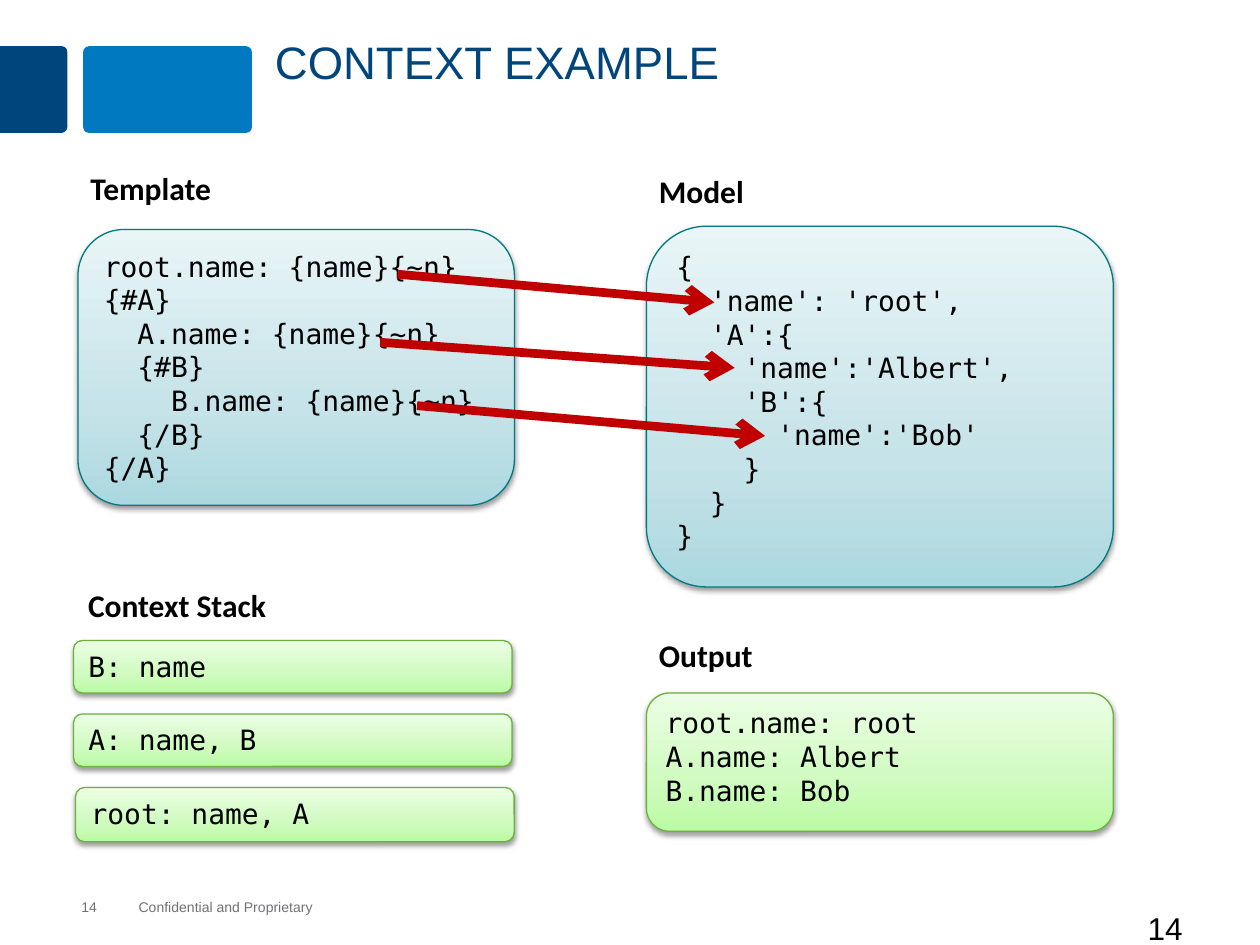
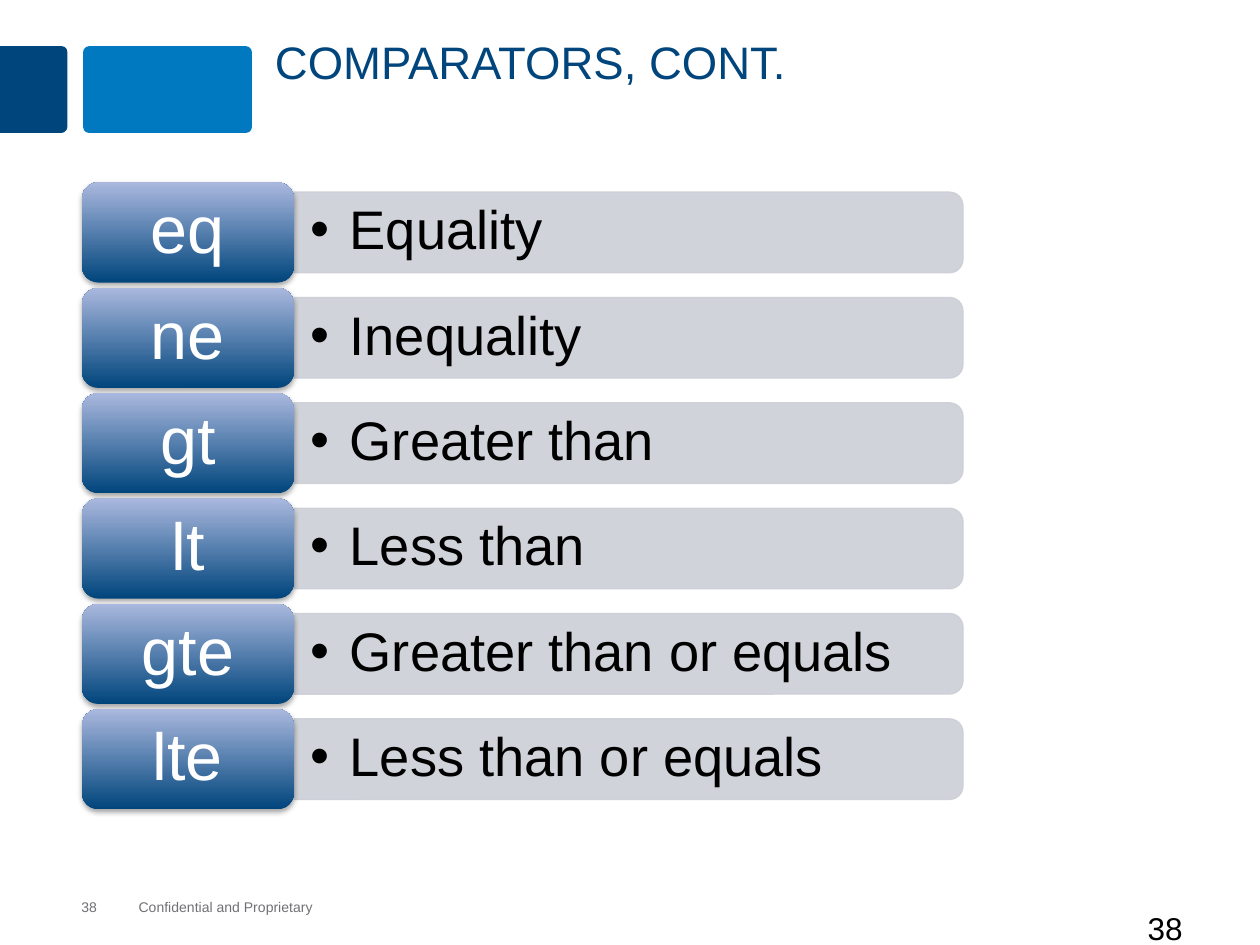
"""Build two template-language slides: a context example and a list of comparators."""
from copy import deepcopy

from lxml.etree import SubElement
from pptx import Presentation
from pptx.dml.color import RGBColor
from pptx.enum.shapes import MSO_CONNECTOR, MSO_SHAPE
from pptx.enum.text import MSO_ANCHOR, PP_ALIGN
from pptx.oxml.ns import qn
from pptx.util import Pt

COLORS = {
    "navy": "00457C",
    "blue": "0079C1",
    "gray": "717074",
    "black": "000000",
    "white": "FFFFFF",
    "arrow": "C00000",
    "bar": "CCCFD7",
    "teal_line": "007982",
    "green_line": "6AB23B",
}
GRADIENTS = {
    "teal": [(0, "ABD8DF"), (35, "C5E3E8"), (100, "E9F5F7")],
    "green": [(0, "BAFBA3"), (35, "CFFBBF"), (100, "ECFEE5")],
    "navy": [(0, "00457C"), (100, "AAB8DE")],
}
SANS, HEADING, MONO = "Arial", "Calibri", "DejaVu Sans Mono"

TEMPLATE_CODE = """root.name: {name}{~n}
{#A}
  A.name: {name}{~n}
  {#B}
    B.name: {name}{~n}
  {/B}
{/A}"""
MODEL_CODE = """{
  'name': 'root',
  'A':{
    'name':'Albert',
    'B':{
      'name':'Bob'
    }
  }
}"""
OUTPUT_CODE = """root.name: root
A.name: Albert
B.name: Bob"""
HEADINGS = [
    ("Template", 44.6, 92.9),
    ("Model", 369.4, 95),
    ("Output", 369.4, 360),
    ("Context Stack", 43.2, 331.2),
]
CODE_BOXES = [
    (TEMPLATE_CODE, (44.6, 131.2, 249.4, 157.6), "teal"),
    (MODEL_CODE, (369.4, 129.3, 266.8, 206.1), "teal"),
    (OUTPUT_CODE, (369.4, 396, 266.8, 79), "green"),
    ("B: name", (42, 366, 250.6, 30), "green"),
    ("A: name, B", (42, 408, 250.6, 30), "green"),
    ("root: name, A", (43.2, 450, 250.6, 31), "green"),
]
ARROWS = [
    ((227.2, 156.7), (408.2, 172.8)),
    ((217.2, 195.6), (419.8, 210.2)),
    ((238.3, 231.8), (437.2, 249.1)),
]
COMPARATORS = [
    ("eq", "Equality"),
    ("ne", "Inequality"),
    ("gt", "Greater than"),
    ("lt", "Less than"),
    ("gte", "Greater than or equals"),
    ("lte", "Less than or equals"),
]
ROW_TOP, ROW_PITCH = 104.2, 60.2


def rgb(name):
    """Return the named palette colour."""
    return RGBColor.from_string(COLORS[name])


def write_text(shape, text, size, font=SANS, color="black", bold=False,
               align=PP_ALIGN.LEFT, anchor=MSO_ANCHOR.TOP, margins=(7.2, 3.6),
               line_spacing=None, bullet_indent=None):
    """Put formatted text into a shape, with line breaks at newlines."""
    frame = shape.text_frame
    frame.word_wrap = True
    frame.vertical_anchor = anchor
    frame.margin_left = frame.margin_right = Pt(margins[0])
    frame.margin_top = frame.margin_bottom = Pt(margins[1])
    paragraph = frame.paragraphs[0]
    paragraph.text = text
    paragraph.alignment = align
    if line_spacing:
        paragraph.line_spacing = line_spacing
    for run in paragraph.runs:
        run.font.size = Pt(size)
        run.font.name = font
        run.font.bold = bold
        run.font.color.rgb = rgb(color)
    element = paragraph.runs[0].font._element
    for line_break in paragraph._p.findall(qn("a:br")):
        line_break.append(deepcopy(element))
    if bullet_indent:
        properties = paragraph._p.get_or_add_pPr()
        properties.set("marL", str(Pt(bullet_indent)))
        properties.set("indent", str(-Pt(bullet_indent)))
        SubElement(properties, qn("a:buFont"), typeface=SANS)
        SubElement(properties, qn("a:buChar"), char="•")


def add_text(slide, text, box, **text_format):
    """Add a text box at left, top, width, height in points."""
    shape = slide.shapes.add_textbox(*map(Pt, box))
    write_text(shape, text, **text_format)


def add_box(slide, box, preset=MSO_SHAPE.ROUNDED_RECTANGLE, fill=None, line=None, corner=None):
    """Add a preset shape without shadow, with an optional solid fill and outline."""
    shape = slide.shapes.add_shape(preset, *map(Pt, box))
    shape.shadow.inherit = False
    if corner is not None:
        shape.adjustments[0] = corner
    if fill:
        shape.fill.solid()
        shape.fill.fore_color.rgb = rgb(fill)
    if line:
        shape.line.color.rgb = rgb(line)
        shape.line.width = Pt(0.75)
    else:
        shape.line.fill.background()
    return shape


def add_gradient_box(slide, box, gradient, line=None, shadow_opacity=38):
    """Add a rounded box with an upward gradient and a soft shadow below."""
    shape = add_box(slide, box, line=line)
    shape.fill.gradient()
    shape.fill.gradient_angle = 90
    properties = shape._element.spPr
    stops = properties.find(qn("a:gradFill")).find(qn("a:gsLst"))
    for stop in list(stops):
        stops.remove(stop)
    for position, color in GRADIENTS[gradient]:
        stop = SubElement(stops, qn("a:gs"), pos=str(position * 1000))
        SubElement(stop, qn("a:srgbClr"), val=color)
    shadow = SubElement(properties.find(qn("a:effectLst")), qn("a:outerShdw"),
                        blurRad=str(Pt(3.1)), dist=str(Pt(1.6)), dir="5400000", rotWithShape="0")
    shade = SubElement(shadow, qn("a:srgbClr"), val=COLORS["black"])
    SubElement(shade, qn("a:alpha"), val=str(shadow_opacity * 1000))
    return shape


def add_right_rounded_bar(slide, box, fill, **style):
    """Add a bar whose two right corners are round; box is its place after turning."""
    left, top, width, height = box
    shift = (width - height) / 2
    turned = (left + shift, top - shift, height, width)
    shape = add_box(slide, turned, MSO_SHAPE.ROUND_2_SAME_RECTANGLE, fill, **style)
    shape.rotation = 90
    return shape


def add_arrow(slide, start, end):
    """Add a thick red arrow between two points."""
    connector = slide.shapes.add_connector(MSO_CONNECTOR.STRAIGHT, *map(Pt, start + end))
    connector.line.color.rgb = rgb("arrow")
    connector.line.width = Pt(5)
    SubElement(connector.line._get_or_add_ln(), qn("a:tailEnd"), type="arrow")
    SubElement(connector._element.spPr, qn("a:effectLst"))


def add_base_slide(presentation, title, number):
    """Add a slide with the header blocks, title, footer and page numbers."""
    slide = presentation.slides.add_slide(presentation.slide_layouts[6])
    add_right_rounded_bar(slide, (0, 26.3, 38.5, 49.7), "navy", corner=0.09)
    add_box(slide, (47.5, 26.4, 96.5, 49.6), fill="blue", corner=0.07)
    footer = {"size": 8, "color": "gray", "margins": (0, 0), "anchor": MSO_ANCHOR.MIDDLE}
    add_text(slide, "Confidential and Proprietary", (79.2, 513.4, 101, 9.4), **footer)
    add_text(slide, str(number), (46.5, 513.4, 32, 9.4), **footer)
    add_text(slide, title, (150, 18, 552, 65.5), size=26, color="navy", line_spacing=0.95)
    add_text(slide, str(number), (648.7, 516.2, 71.3, 36), size=18)
    return slide


def add_comparator(slide, top, operator, meaning):
    """Add one row: an operator tile and a bar with its meaning."""
    bar = add_right_rounded_bar(slide, (168, top + 5.6, 382.3, 46.1), "bar", line="bar")
    for color in bar._element.spPr.iter(qn("a:srgbClr")):
        SubElement(color, qn("a:alpha"), val="90000")
    add_text(slide, meaning, (168, top + 8, 380, 41), size=31, anchor=MSO_ANCHOR.MIDDLE,
             margins=(9.4, 4.3), line_spacing=0.9, bullet_indent=22.5)
    tile = add_gradient_box(slide, (46.8, top, 121.2, 57.3), "navy", shadow_opacity=35)
    write_text(tile, operator, size=38, color="white", align=PP_ALIGN.CENTER,
               anchor=MSO_ANCHOR.MIDDLE, margins=(11.5, 5.8), line_spacing=0.9)


def build_context_slide(presentation):
    """Show how template references resolve against the model."""
    slide = add_base_slide(presentation, "CONTEXT EXAMPLE", 14)
    for code, box, theme in CODE_BOXES:
        shape = add_gradient_box(slide, box, theme, line=f"{theme}_line")
        write_text(shape, code, size=16, font=MONO)
    for start, end in ARROWS:
        add_arrow(slide, start, end)
    for heading, left, top in HEADINGS:
        add_text(slide, heading, (left, top, 137, 30), size=18, font=HEADING, bold=True)


def build_comparators_slide(presentation):
    """List the comparison operators with their meanings."""
    slide = add_base_slide(presentation, "COMPARATORS, CONT.", 38)
    for row, (operator, meaning) in enumerate(COMPARATORS):
        add_comparator(slide, ROW_TOP + row * ROW_PITCH, operator, meaning)


def main():
    """Build and save the presentation."""
    presentation = Presentation()
    presentation.slide_width, presentation.slide_height = Pt(720), Pt(540)
    build_context_slide(presentation)
    build_comparators_slide(presentation)
    presentation.save("out.pptx")


if __name__ == "__main__":
    main()
